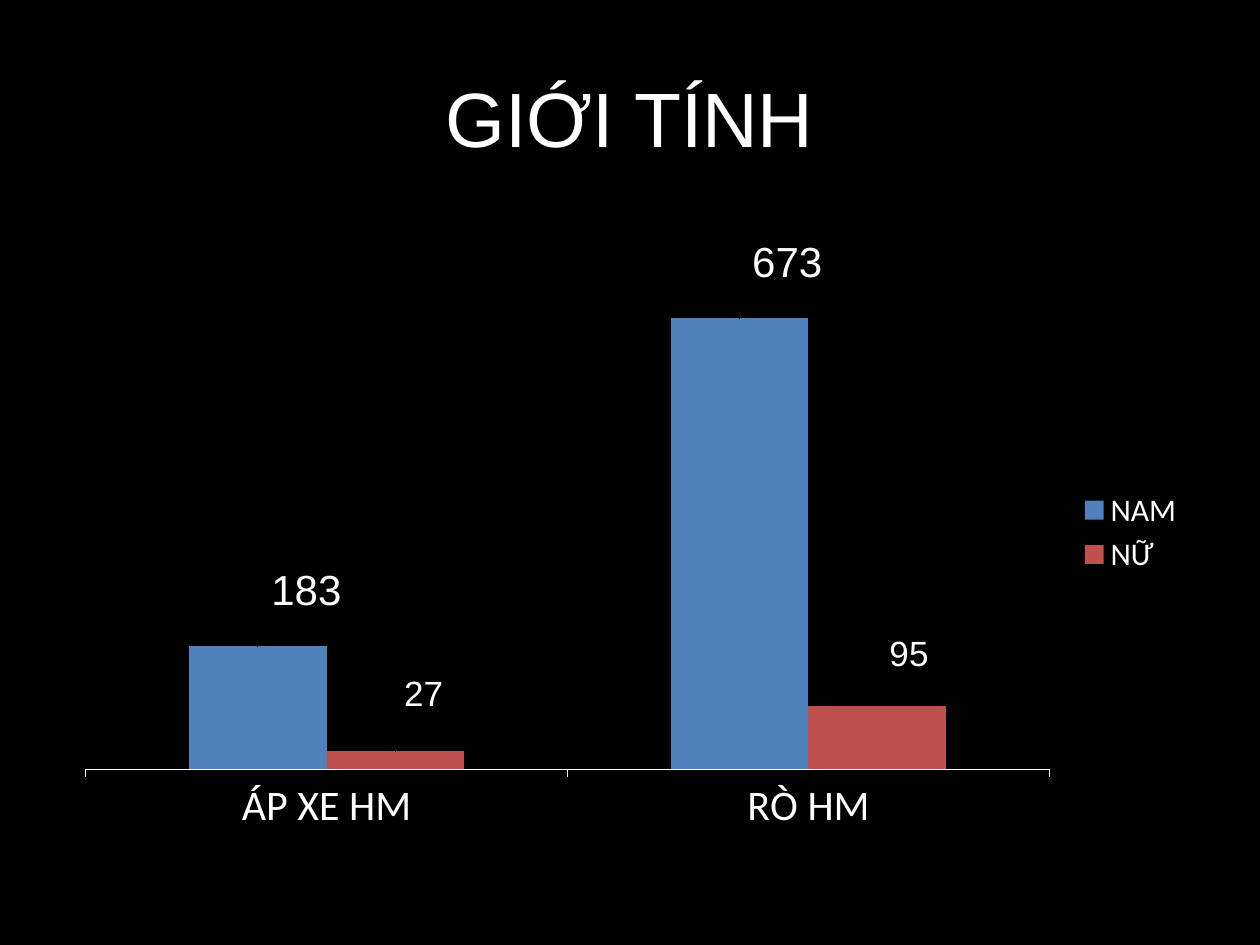
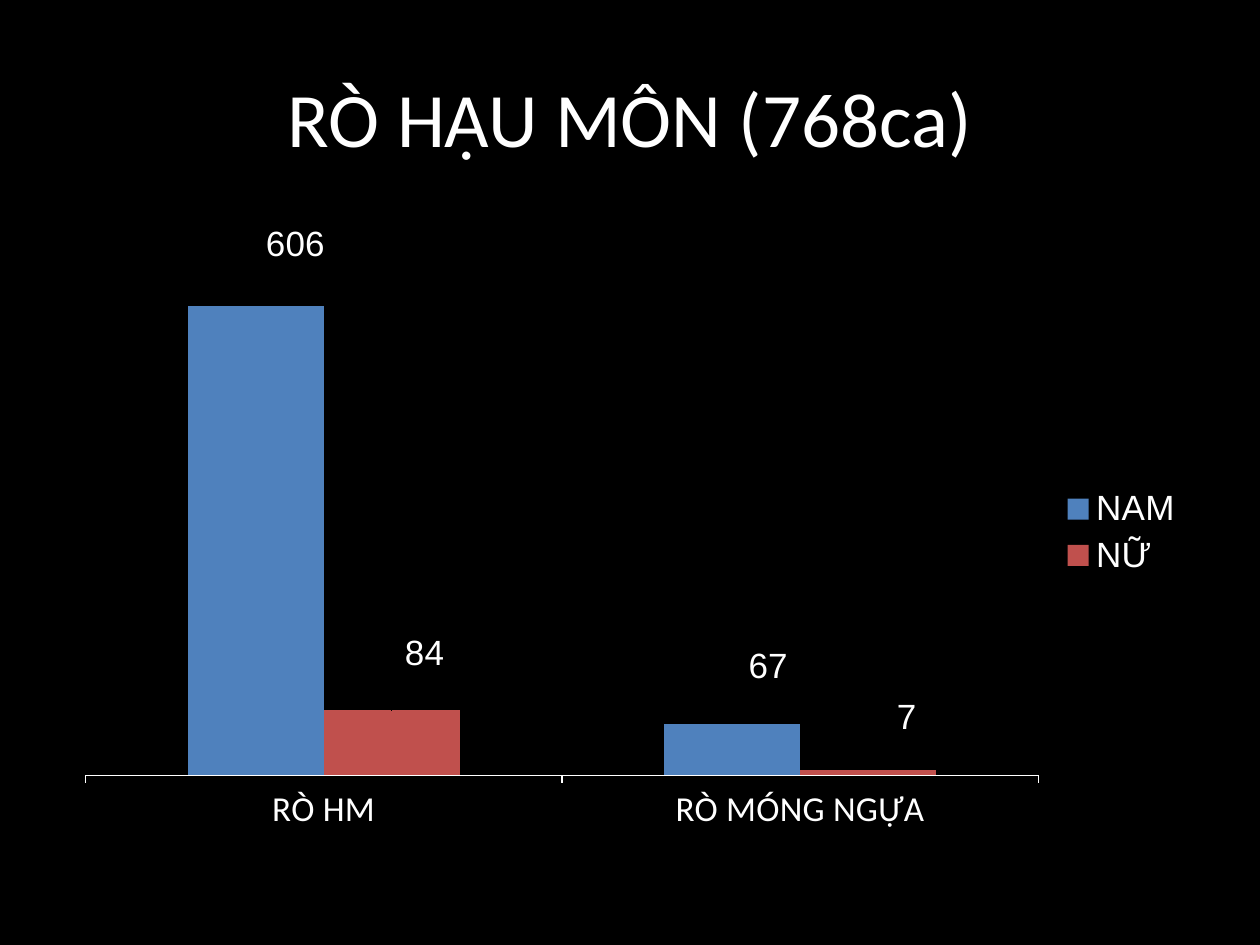
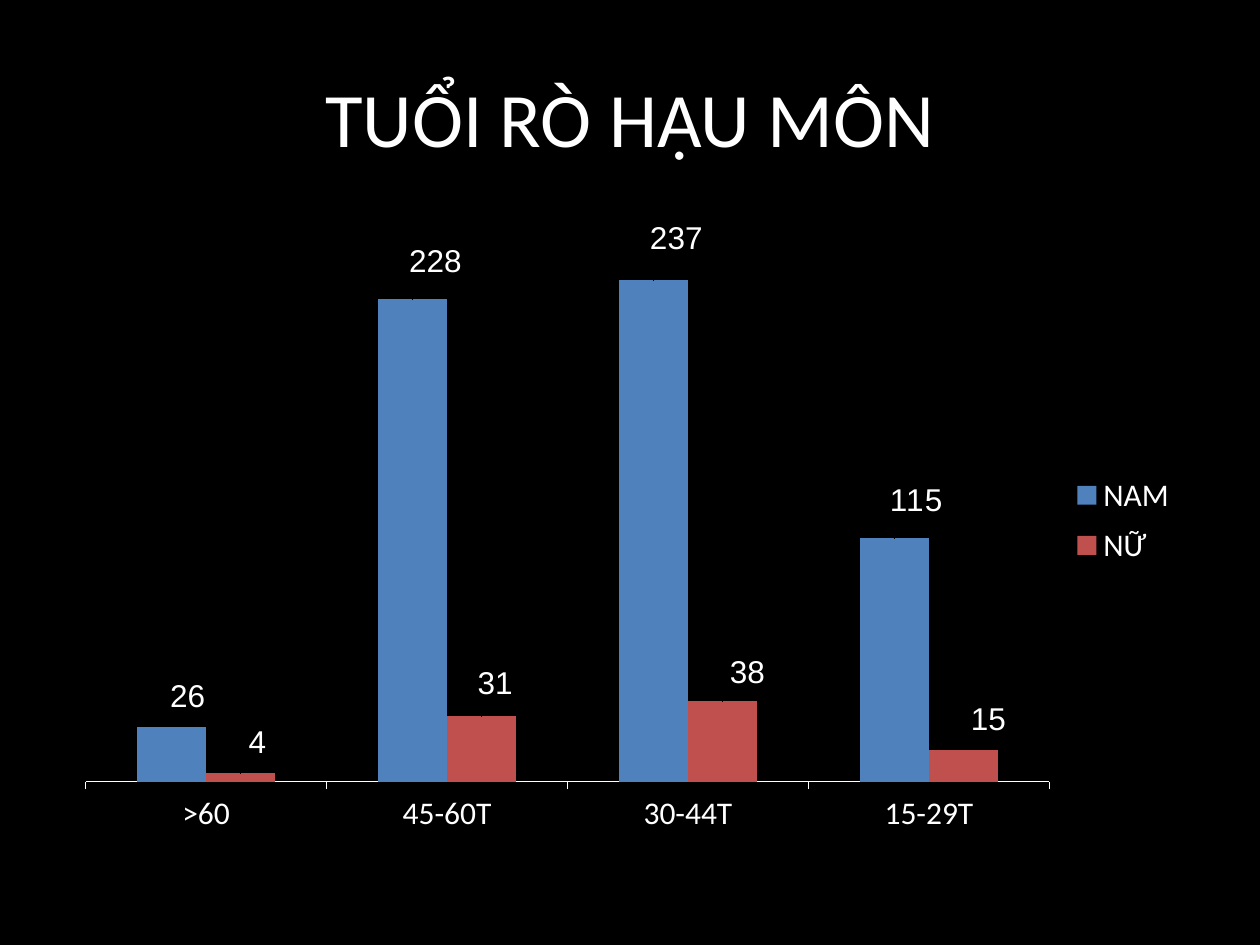
from lxml import etree
from pptx import Presentation
from pptx import util as u
from pptx.chart.data import CategoryChartData
from pptx.dml.color import RGBColor
from pptx.enum import chart as ch, text
from pptx.oxml.ns import qn

Pt = u.Pt
COLOURS = {"back": "000000", "ink": "FFFFFF", "NAM": "4F81BD", "NỮ": "C0504D"}
TITLE_BOX = (36, 21.6, 648, 90)
CHART_BOX = (36, 126, 648, 356.4)

# plot and legend: x, y, width, height as shares of the chart box
# labels: font size of each series; shifts: label offsets in points
SLIDES = [
    dict(title="GIỚI TÍNH", title_font="Arial", top=800,
         plot=(0.02, 0.02, 0.85, 0.86), axis_size=24,
         legend_font=("Calibri", 18), legend=None,
         categories=["ÁP XE HM", "RÒ HM"],
         series={"NAM": (183, 673), "NỮ": (27, 95)},
         labels={"NAM": 24, "NỮ": 20},
         shifts={"NAM": [(28, -15.5), (27, -15)],
                 "NỮ": [(16, -18), (18, -15)]}),
    dict(title="RÒ HẬU MÔN (768ca)", title_font="Calibri", top=700,
         plot=(0.02, 0.02, 0.84, 0.87), axis_size=20,
         legend_font=("Arial", 20), legend=None,
         categories=["RÒ HM", "RÒ MÓNG NGỰA"],
         series={"NAM": (606, 67), "NỮ": (84, 7)},
         labels={"NAM": 20, "NỮ": 20},
         shifts={"NAM": [(23, -20.5), (21, -18)],
                 "NỮ": [(18.5, -18), (22, -16)]}),
    dict(title="TUỔI RÒ HẬU MÔN", title_font="Calibri", top=250,
         plot=(0.02, 0.05, 0.85, 0.85), axis_size=18,
         legend_font=("Calibri", 18), legend=(0.88, 0.39, 0.11, 0.18),
         categories=[">60", "45-60T", "30-44T", "15-29T"],
         series={"NAM": (26, 228, 237, 115), "NỮ": (4, 31, 38, 15)},
         labels={"NAM": 18, "NỮ": 18},
         shifts={"NAM": [(9, -4.5), (13, -8.5), (13, -11), (12, -8.5)],
                 "NỮ": [(10, -5), (8, -6), (14, -3.5), (14, -4.5)]}),
]


def colour(name):
    return RGBColor.from_string(COLOURS[name])


def style_font(font, name, size):
    font.name, font.size = name, Pt(size)
    font.color.rgb = colour("ink")


def set_layout(parent, index, **values):
    """Give a chart part a manual layout, as child number index."""
    for old in parent.findall(qn("c:layout")):
        parent.remove(old)
    layout = etree.Element(qn("c:layout"))
    manual = etree.SubElement(layout, qn("c:manualLayout"))
    for tag, value in values.items():
        etree.SubElement(manual, qn("c:" + tag)).set("val", str(value))
    parent.insert(index, layout)


def set_frame(parent, index, frame, **target):
    set_layout(parent, index, **target, xMode="edge", yMode="edge",
               **dict(zip("xywh", frame)))


def add_title(page, box, wording, font_name):
    frame = page.shapes.add_textbox(*map(Pt, box)).text_frame
    frame.word_wrap = True
    frame.vertical_anchor = text.MSO_ANCHOR.MIDDLE
    para = frame.paragraphs[0]
    para.text = wording
    para.alignment = text.PP_ALIGN.CENTER
    style_font(para.font, font_name, 44)


def style_series(series, size, shifts, box):
    series.format.fill.solid()
    series.format.fill.fore_color.rgb = colour(series.name)
    labels = series.data_labels
    labels.show_value = True
    labels.position = ch.XL_LABEL_POSITION.OUTSIDE_END
    style_font(labels.font, "Arial", size)
    # Shift each value label away from its bar
    for number, (across, down) in enumerate(shifts):
        label = series.points[number].data_label
        style_font(label.font, "Arial", size)
        label.position = ch.XL_LABEL_POSITION.OUTSIDE_END
    for element, (across, down) in zip(series._element.iter(qn("c:dLbl")), shifts):
        set_layout(element, 1, x=round(across / box[2], 3),
                   y=round(down / box[3], 3))


def add_column_chart(page, box, item):
    data = CategoryChartData()
    data.categories = item["categories"]
    for name, values in item["series"].items():
        data.add_series(name, values)
    chart = page.shapes.add_chart(
        ch.XL_CHART_TYPE.COLUMN_CLUSTERED, *map(Pt, box), data).chart
    chart.has_title = False
    style_font(chart.font, "Calibri", 18)

    # Axes
    values = chart.value_axis
    values.visible = False
    values.has_major_gridlines = False
    values.minimum_scale, values.maximum_scale = 0, item["top"]
    axis = chart.category_axis
    axis.major_tick_mark = ch.XL_TICK_MARK.OUTSIDE
    axis.format.line.color.rgb = colour("ink")
    axis.format.line.width = Pt(0.75)
    style_font(axis.tick_labels.font, "Calibri", item["axis_size"])

    # Columns
    plot = chart.plots[0]
    plot.gap_width, plot.overlap = 150, 0
    plot.vary_by_categories = False
    for series in plot.series:
        style_series(series, item["labels"][series.name],
                     item["shifts"][series.name], box)
    plot_area = chart._chartSpace.find(".//" + qn("c:plotArea"))
    set_frame(plot_area, 0, item["plot"], layoutTarget="inner")

    # Legend
    chart.has_legend = True
    legend = chart.legend
    legend.position = ch.XL_LEGEND_POSITION.RIGHT
    legend.include_in_layout = False
    style_font(legend.font, *item["legend_font"])
    if item["legend"]:
        set_frame(legend._element, 1, item["legend"])


def add_chart_page(deck, item):
    page = deck.slides.add_slide(deck.slide_layouts[6])
    page.background.fill.solid()
    page.background.fill.fore_color.rgb = colour("back")
    add_title(page, TITLE_BOX, item["title"], item["title_font"])
    add_column_chart(page, CHART_BOX, item)


def main():
    deck = Presentation()
    deck.slide_width, deck.slide_height = Pt(720), Pt(540)
    for item in SLIDES:
        add_chart_page(deck, item)
    deck.save("out.pptx")


if __name__ == "__main__":
    main()
